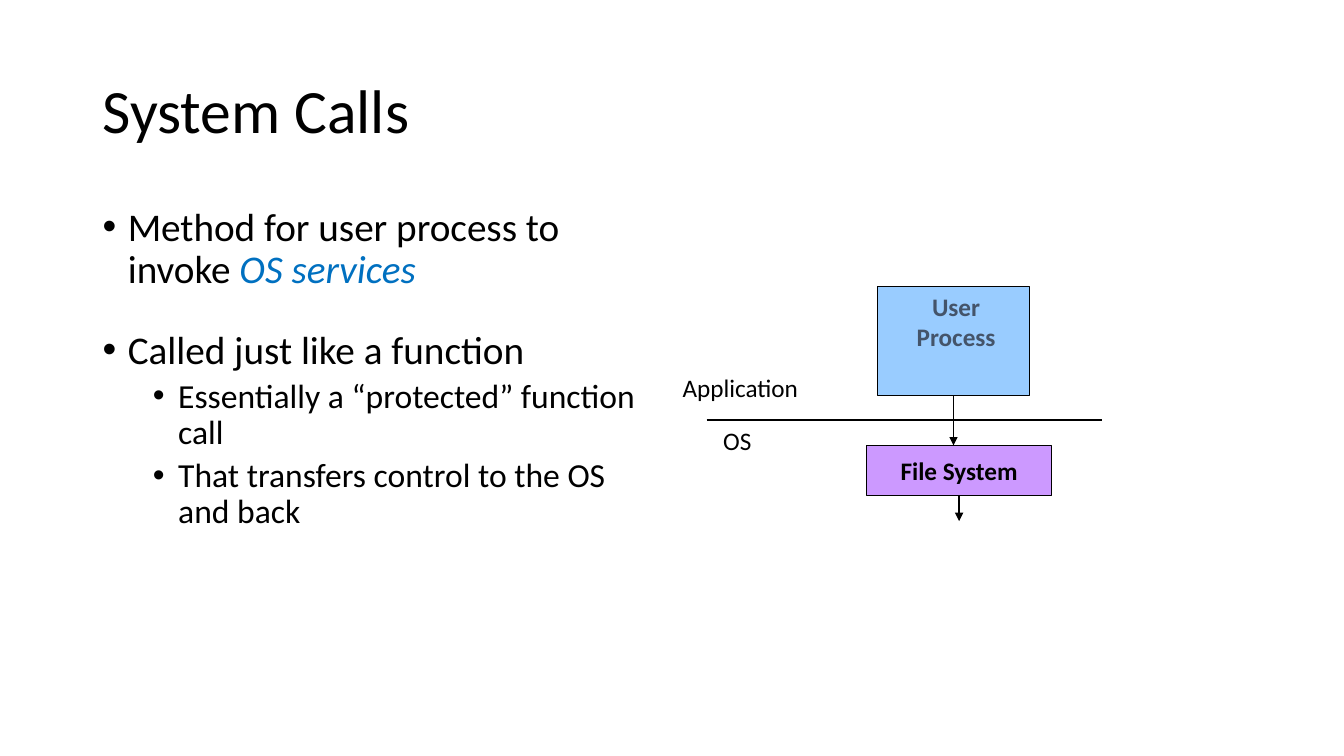
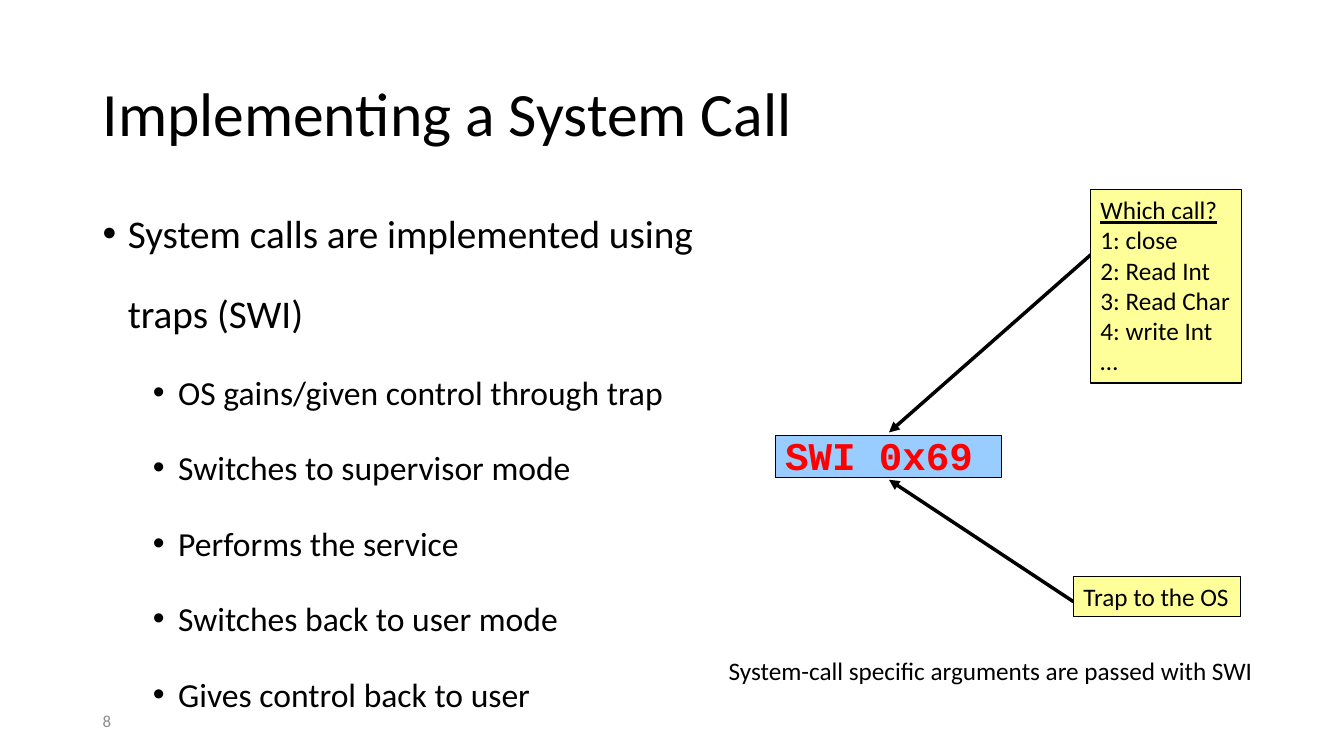
from lxml import etree
from pptx import Presentation
from pptx.dml.color import RGBColor
from pptx.enum import shapes, text
from pptx.oxml import ns
from pptx.util import Pt

BLACK = RGBColor(0x00, 0x00, 0x00)
BLUE = RGBColor(0x00, 0x70, 0xC0)
SLATE = RGBColor(0x44, 0x54, 0x6A)
RED = RGBColor(0xFF, 0x00, 0x00)
GRAY = RGBColor(0x8C, 0x8C, 0x8C)
PURPLE = RGBColor(0xCC, 0x99, 0xFF)
SKY = RGBColor(0x99, 0xCC, 0xFF)
YELLOW = RGBColor(0xFF, 0xFF, 0x99)

LEFT = 66.2
MIDDLE, TOP = text.MSO_ANCHOR.MIDDLE, text.MSO_ANCHOR.TOP
CENTER = text.PP_ALIGN.CENTER
LEVELS = [  # text size, left margin, space before
    (28, 18, 10),
    (24, 54, 5),
]

# Content: a bullet is (level, line spacing, runs), a run is (words, style)
SYSTEM_CALLS = [
    (0, 0.9, [("Method for user process to invoke ", {}),
              ("OS services", {"color": BLUE, "italic": True})]),
    (0, 1.4, [("Called just like a function", {})]),
    (1, 0.9, [("Essentially a “protected” function call", {})]),
    (1, 0.9, [("That transfers control to the OS and back", {})]),
]
IMPLEMENTING = [(level, 1.7, [(words, {})]) for level, words in [
    (0, "System calls are implemented using traps (SWI)"),
    (1, "OS gains/given control through trap"),
    (1, "Switches to supervisor mode"),
    (1, "Performs the service"),
    (1, "Switches back to user mode"),
    (1, "Gives control back to user"),
]]
CALLS = ["Which call?", "1: close", "2: Read Int", "3: Read Char", "4: write Int", "…"]


def add_run(paragraph, words, size=18, color=BLACK, name="Calibri", **style):
    run = paragraph.add_run()
    run.text = words
    run.font.size, run.font.name = Pt(size), name
    run.font.color.rgb = color
    for key, value in style.items():
        setattr(run.font, key, value)


def add_box(slide, box, fill=None, anchor=TOP, wrap=False):
    """A text box, or an outlined rectangle when a fill is given."""
    place = [Pt(length) for length in box]
    if fill is None:
        shape = slide.shapes.add_textbox(*place)
    else:
        shape = slide.shapes.add_shape(shapes.MSO_SHAPE.RECTANGLE, *place)
        shape.shadow.inherit = False
        shape.fill.solid()
        shape.fill.fore_color.rgb = fill
        shape.line.color.rgb = BLACK
        shape.line.width = Pt(0.75)
    shape.text_frame.word_wrap = wrap
    shape.text_frame.vertical_anchor = anchor
    return shape.text_frame


def next_paragraph(frame, index):
    return frame.add_paragraph() if index else frame.paragraphs[0]


def add_label(slide, box, lines, align=text.PP_ALIGN.LEFT, fill=None,
              anchor=TOP, underline_first=False, **style):
    frame = add_box(slide, box, fill, anchor)
    for index, words in enumerate(lines):
        paragraph = next_paragraph(frame, index)
        paragraph.alignment = align
        add_run(paragraph, words, underline=underline_first and index == 0, **style)
    return frame


def add_title(slide, top, words):
    frame = add_box(slide, (LEFT, top, 828, 104.4), anchor=MIDDLE, wrap=True)
    frame.paragraphs[0].line_spacing = 0.9
    add_run(frame.paragraphs[0], words, 44)


def add_bullets(slide, box, bullets):
    frame = add_box(slide, box, wrap=True)
    for index, (level, spacing, runs) in enumerate(bullets):
        size, margin, before = LEVELS[level]
        paragraph = next_paragraph(frame, index)
        properties = paragraph._p.get_or_add_pPr()
        properties.set("marL", str(Pt(margin)))
        properties.set("indent", str(-Pt(18)))
        etree.SubElement(properties, ns.qn("a:buFont"), typeface="Arial")
        etree.SubElement(properties, ns.qn("a:buChar"), char="•")
        paragraph.level = level
        paragraph.line_spacing = spacing
        paragraph.space_before = Pt(before if index else 0)
        for words, style in runs:
            add_run(paragraph, words, size, **style)


def add_line(slide, start, end, width, arrow=True):
    line = slide.shapes.add_connector(
        shapes.MSO_CONNECTOR.STRAIGHT, *[Pt(length) for length in start + end])
    line.line.color.rgb = BLACK
    line.line.width = Pt(width)
    if arrow:
        etree.SubElement(line.line._get_or_add_ln(), ns.qn("a:tailEnd"), type="triangle")
    etree.SubElement(line._element.spPr, ns.qn("a:effectLst"))


def build_system_calls(slide):
    add_title(slide, 28.8, "System Calls")
    add_bullets(slide, (LEFT, 144.7, 414, 342.7), SYSTEM_CALLS)

    # Boundary between application and operating system
    boundary = 300.2
    add_line(slide, (504.7, boundary), (787, boundary), 1.5, arrow=False)
    add_label(slide, (465.1, 262.1, 127.4, 36), ["Application"], CENTER)
    add_label(slide, (504, boundary, 45.4, 36), ["OS"], CENTER)

    # Process above the boundary, file system below it
    process, files = (627.1, 204.5, 108, 77.8), (619.2, 318.2, 131.8, 36)
    frame = add_label(slide, process, ["User", "Process"], CENTER, SKY,
                      color=SLATE, bold=True)
    frame.margin_left = Pt(10.8)
    add_label(slide, files, ["File System"], CENTER, PURPLE, MIDDLE, bold=True)
    for (left, top, width, height), end in [(process, files[1]), (files, 372.2)]:
        middle = left + width / 2
        add_line(slide, (middle, top + height), (middle, end), 1)


def build_implementing(slide):
    add_label(slide, (LEFT, 500.4, 216, 28.8), ["8"], anchor=MIDDLE, size=12, color=GRAY)
    add_title(slide, 31, "Implementing a System Call")
    add_bullets(slide, (LEFT, 122.4, 447.1, 406.8), IMPLEMENTING)

    # Trap instruction
    frame = add_box(slide, (553.7, 311, 162, 30.2), SKY, wrap=True)
    paragraph = frame.paragraphs[0]
    paragraph.alignment = text.PP_ALIGN.LEFT
    paragraph.line_spacing = 0.8
    add_run(paragraph, "SWI 0x69", 28, RED, "Courier New", bold=True)

    # Notes pointing at the instruction
    target = 635
    add_line(slide, (785.5, 176.4), (target, 308.9), 2.5)
    add_label(slide, (779, 135.4, 108, 138.2), CALLS, fill=YELLOW, underline_first=True)
    add_line(slide, (766.8, 429.8), (target, 342.7), 2.5)
    add_label(slide, (766.8, 411.8, 119.5, 28.8), ["Trap to the OS"], fill=YELLOW)
    add_label(slide, (513.4, 464.4, 393.1, 28.8),
              ["System-call specific arguments are passed with SWI"])


def main():
    presentation = Presentation()
    presentation.slide_width, presentation.slide_height = Pt(960), Pt(540)
    for build in (build_system_calls, build_implementing):
        build(presentation.slides.add_slide(presentation.slide_layouts[6]))
    presentation.save("out.pptx")


if __name__ == "__main__":
    main()
